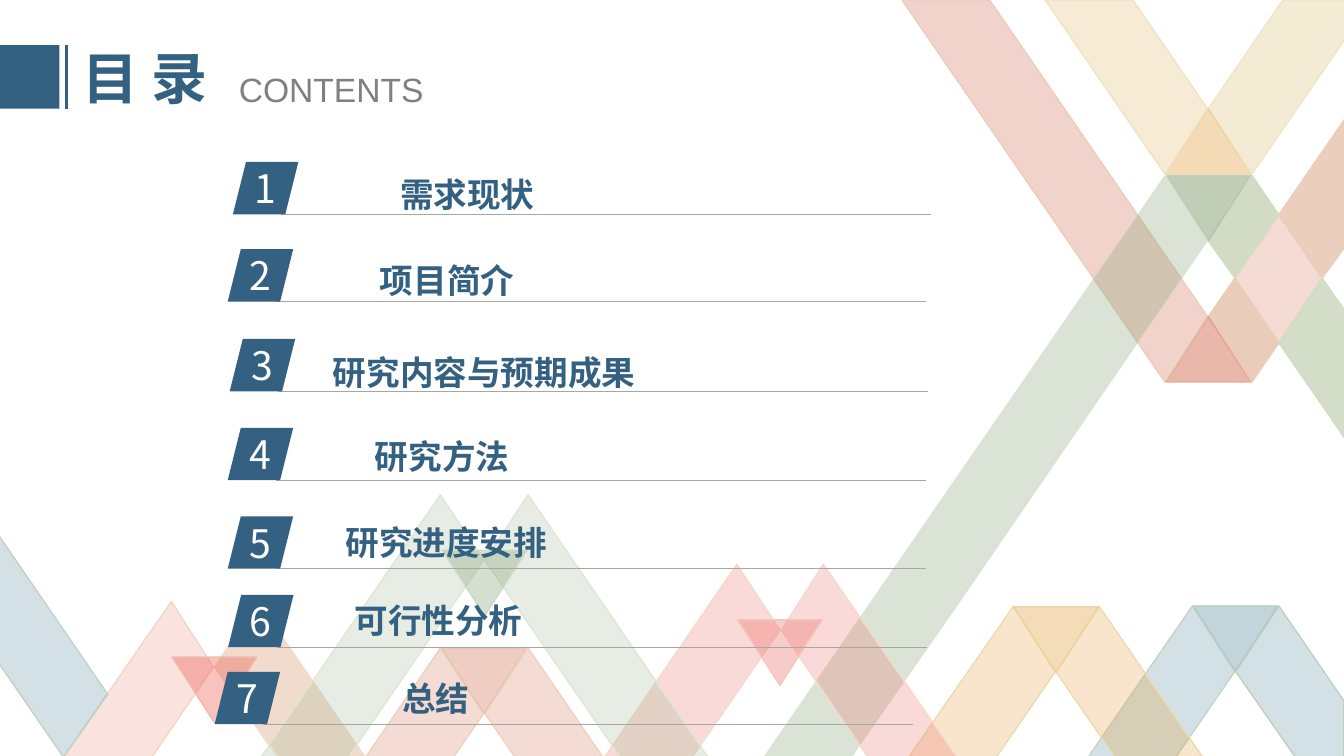
"""Build the contents slide with seven numbered entries over a ribbon background."""
import pptx
import pptx.dml.color
import pptx.enum.shapes
import pptx.enum.text
import pptx.oxml.ns
import pptx.util
from lxml import etree

Cm = pptx.util.Cm
Pt = pptx.util.Pt
Shape = pptx.enum.shapes.MSO_SHAPE
Align = pptx.enum.text.PP_ALIGN
Anchor = pptx.enum.text.MSO_ANCHOR

NAVY, GRAY, RULE_GRAY, WHITE = "346182", "808080", "A6A6A6", "FFFFFF"
CHINESE, LATIN = "Noto Sans CJK SC", "Arial"

TITLE = "目 录"
SUBTITLE = "CONTENTS"

# badge left, rule top, label, (label left, top, width, height), line spacing
ENTRIES = [
    (5.87, 5.4, "需求现状", (9.83, 4.27, 3.89, 1.27), 1),
    (5.74, 7.6, "项目简介", (9.3, 6.43, 3.94, 1.27), 1),
    (5.79, 9.86, "研究内容与预期成果", (8.1, 8.23, 8.2, 1.63), 1.5),
    (5.74, 12.1, "研究方法", (9.17, 10.85, 3.94, 1.27), 1),
    (5.74, 14.33, "研究进度安排", (8.43, 13.03, 5.64, 1.27), 1),
    (5.75, 16.31, "可行性分析", (8.66, 14.99, 4.78, 1.27), 1),
    (5.41, 18.25, "总结", (9.86, 16.97, 2.24, 1.27), 1),
]

# fill, fill opacity, line, line opacity, corners
RIBBONS = [
    ("EE8F82", 25, "EED9C6", 100, [(4.32, 15.16), (5.38, 16.81), (3.78, 19.15), (1.55, 19.15)]),
    ("F1DBCC", 100, "F1DBCC", 100, [(6.5, 15.16), (9.25, 19.15), (7.04, 19.15), (5.41, 16.81)]),
    ("ED6F65", 25, "F1DBCC", 100, [(18.57, 14.22), (19.66, 15.88), (17.4, 19.15), (15.19, 19.15)]),
    ("E7B05E", 25, "EFE3C2", 100, [(26.34, 0), (28.55, 0), (30.43, 2.74), (29.36, 4.39)]),
    ("EFE3C2", 71, "EEE6C8", 100,
     [(32.33, 0), (33.91, 0), (33.91, 0.97), (31.55, 4.39), (30.45, 2.74)]),
    ("D57053", 25, "EAD3BE", 100, [(32.23, 5.41), (33.32, 7.01), (32.23, 8.64), (31.12, 7.01)]),
    ("EBCEBC", 100, "EACDBA", 100, [(33.91, 2.97), (33.91, 6.2), (33.32, 7.01), (32.23, 5.41)]),
    ("D2DBC4", 100, "D3DDC7", 100, [(31.55, 4.42), (32.23, 5.41), (31.12, 7.01), (30.45, 6.07)]),
    ("E9CCBA", 100, "EACDBB", 100, [(31.12, 7.01), (32.23, 8.64), (31.55, 9.63), (30.45, 7.98)]),
    ("D3DDC7", 100, "D3DCC6", 100, [(33.32, 7.01), (33.91, 7.85), (33.91, 11.07), (32.23, 8.64)]),
    ("A2B894", 25, "E0E6D3", 100,
     [(11.1, 12.47), (12.19, 14.12), (8.71, 19.18), (7.09, 19.18), (6.78, 18.77)]),
    ("A2B894", 25, "E0E6D3", 100, [(13.31, 12.47), (17.91, 19.18), (15.7, 19.18), (12.22, 14.12)]),
    ("A2B894", 25, "E0E6D3", 100, [(6.78, 18.8), (7.06, 19.18), (6.5, 19.18)]),
    ("508799", 25, "C3D4C3", 100, [(-0.1, 13.39), (2.72, 17.5), (1.6, 19.08), (-0.1, 16.61)]),
    ("D57053", 25, "EAD3BF", 100, [(13.31, 16.33), (15.24, 19.15), (13.03, 19.15), (12.22, 17.98)]),
    ("508799", 25, "C4D5C6", 100, [(30.05, 15.27), (31.12, 16.92), (29.62, 19.1), (27.41, 19.1)]),
    ("508799", 25, "BFD1BD", 100,
     [(32.23, 15.27), (33.86, 17.65), (33.86, 19.1), (32.66, 19.1), (31.14, 16.92)]),
    ("E49B35", 25, "EBDCB0", 100, [(25.53, 15.29), (26.59, 16.94), (25.04, 19.18), (22.83, 19.18)]),
    ("E49B35", 25, "EBDCB2", 100, [(27.71, 15.29), (30.38, 19.18), (28.17, 19.18), (26.62, 16.94)]),
    ("D57053", 25, "EAD3BF", 100, [(11.1, 16.33), (12.19, 17.98), (11.38, 19.15), (9.17, 19.15)]),
    ("D57053", 30, "EACEBC", 100, [(22.73, 0), (24.94, 0), (30.43, 7.98), (29.36, 9.63)]),
    ("88A378", 30, "D3DCC5", 30,
     [(29.36, 4.42), (30.43, 6.07), (24.1, 15.29), (21.41, 19.15), (19.2, 19.15)]),
    ("ED6F65", 25, "F1DBCC", 100, [(20.75, 14.22), (24.16, 19.15), (21.92, 19.15), (19.69, 15.88)]),
]

# fill, fill opacity, line, line opacity, left, top, points up
FOLDS = [
    ("D57053", 49, "DF9B83", 49, 29.39, 7.98, True),
    ("E49B35", 36, "EBD09D", 36, 29.39, 2.74, True),
    ("88A378", 53, "B3C4A5", 53, 29.39, 4.42, False),
    ("D57053", 35, "E6C6B1", 100, 11.13, 16.33, False),
    ("ED6F65", 35, "F2C7BA", 100, 18.59, 15.62, False),
    ("508799", 35, "B5CAC1", 100, 30.07, 15.27, False),
    ("E49B35", 35, "EBD3A3", 100, 25.55, 15.29, False),
    ("ED5249", 35, "EFBBAB", 100, 4.34, 16.56, False),
    ("89A67A", 35, "CFDAC2", 100, 11.15, 13.87, False),
]
FOLD_WIDTH, FOLD_HEIGHT = 2.13, 1.65
BADGE_WIDTH, BADGE_HEIGHT = 1.65, 1.32
RULE_INDENT, RULE_LENGTH = 1.22, 16.38


def color(value):
    return pptx.dml.color.RGBColor.from_string(value)


def set_opacity(shape, location, percent):
    if percent < 100:
        for node in shape.element.xpath(f"./p:spPr/{location}a:solidFill/a:srgbClr"):
            alpha = etree.SubElement(node, pptx.oxml.ns.qn("a:alpha"))
            alpha.set("val", str(percent * 1000))


def add_ribbon(fill, opacity, line, line_opacity, corners):
    points = [(Cm(x), Cm(y)) for x, y in corners]
    builder = slide.shapes.build_freeform(*points[0], scale=1.0)
    builder.add_line_segments(points[1:], close=True)
    shape = builder.convert_to_shape()
    shape.shadow.inherit = False
    shape.fill.solid()
    shape.fill.fore_color.rgb = color(fill)
    shape.line.color.rgb = color(line)
    shape.line.width = Pt(1)
    set_opacity(shape, "", opacity)
    set_opacity(shape, "a:ln/", line_opacity)


def add_block(shapes, preset, left, top, width, height):
    shape = shapes.add_shape(preset, Cm(left), Cm(top), Cm(width), Cm(height))
    shape.shadow.inherit = False
    shape.fill.solid()
    shape.fill.fore_color.rgb = color(NAVY)
    shape.line.fill.background()


def add_line(shapes, start, end, line, width):
    connector = shapes.add_connector(
        pptx.enum.shapes.MSO_CONNECTOR.STRAIGHT, *map(Cm, start + end))
    connector.line.color.rgb = color(line)
    connector.line.width = Pt(width)
    etree.SubElement(connector.element.spPr, pptx.oxml.ns.qn("a:effectLst"))


def write(shape, text, size, font_color, font=CHINESE, bold=False,
          align=Align.CENTER, anchor=Anchor.TOP, wrap=True, spacing=1):
    frame = shape.text_frame
    frame.word_wrap = wrap
    frame.auto_size = pptx.enum.text.MSO_AUTO_SIZE.NONE
    frame.vertical_anchor = anchor
    paragraph = frame.paragraphs[0]
    paragraph.alignment = align
    paragraph.line_spacing = spacing
    run = paragraph.add_run()
    run.text = text
    run.font.size = Pt(size)
    run.font.bold = bold
    run.font.color.rgb = color(font_color)
    run.font.name = font
    east_asian = etree.SubElement(run.font._element, pptx.oxml.ns.qn("a:ea"))
    east_asian.set("typeface", font)


def add_text(shapes, box, text, **style):
    write(shapes.add_textbox(*map(Cm, box)), text, **style)


presentation = pptx.Presentation()
presentation.slide_width, presentation.slide_height = Cm(33.87), Cm(19.05)
slide = presentation.slides.add_slide(presentation.slide_layouts[5])

for ribbon in RIBBONS:
    add_ribbon(*ribbon)
for *style, left, top, points_up in FOLDS:
    base, tip = (top + FOLD_HEIGHT, top) if points_up else (top, top + FOLD_HEIGHT)
    add_ribbon(*style, [(left, base), (left + FOLD_WIDTH, base), (left + FOLD_WIDTH / 2, tip)])

add_block(slide.shapes, Shape.RECTANGLE, 0, 1.14, 1.5, 1.6)
add_line(slide.shapes, (1.68, 1.14), (1.68, 2.74), NAVY, 2.25)
title = slide.shapes.title
title.left, title.top, title.width, title.height = map(Cm, (1.83, 0.97, 3.91, 1.96))
write(title, TITLE, size=40, font_color=NAVY, bold=True, align=Align.LEFT, anchor=Anchor.MIDDLE)
add_text(slide.shapes, (5.77, 1.6, 6.35, 1.27), SUBTITLE,
         size=24, font_color=GRAY, font=LATIN, align=Align.LEFT)

for number, (left, rule_top, label, label_box, spacing) in enumerate(ENTRIES, 1):
    shapes = slide.shapes.add_group_shape().shapes
    rule_left = left + RULE_INDENT
    add_line(shapes, (rule_left, rule_top), (rule_left + RULE_LENGTH, rule_top), RULE_GRAY, 0.5)
    add_block(shapes, Shape.PARALLELOGRAM, left, rule_top - BADGE_HEIGHT, BADGE_WIDTH, BADGE_HEIGHT)
    add_text(shapes, (left + 0.02, rule_top - 1.38, 1.6, 1.45), str(number),
             size=28, font_color=WHITE)
    add_text(slide.shapes, label_box, label, size=24, font_color=NAVY, bold=True,
             wrap=False, spacing=spacing)

presentation.save("out.pptx")
